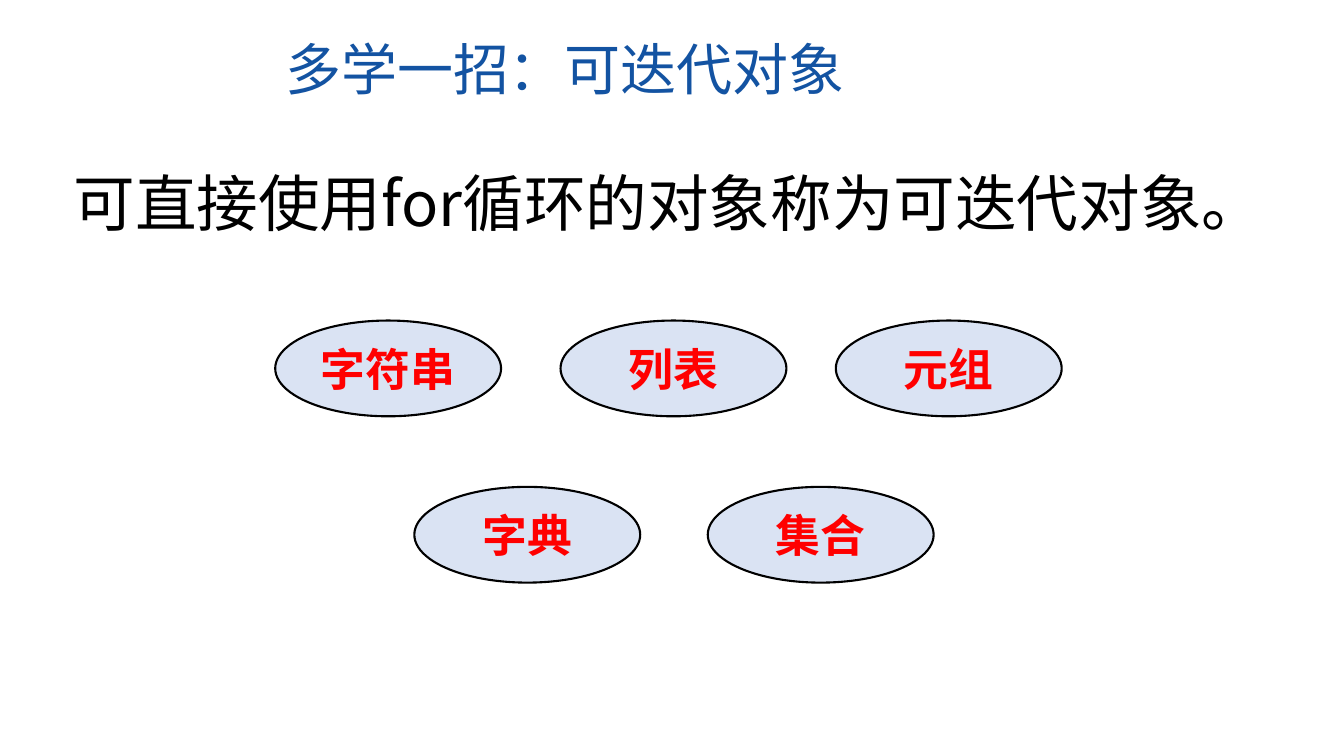
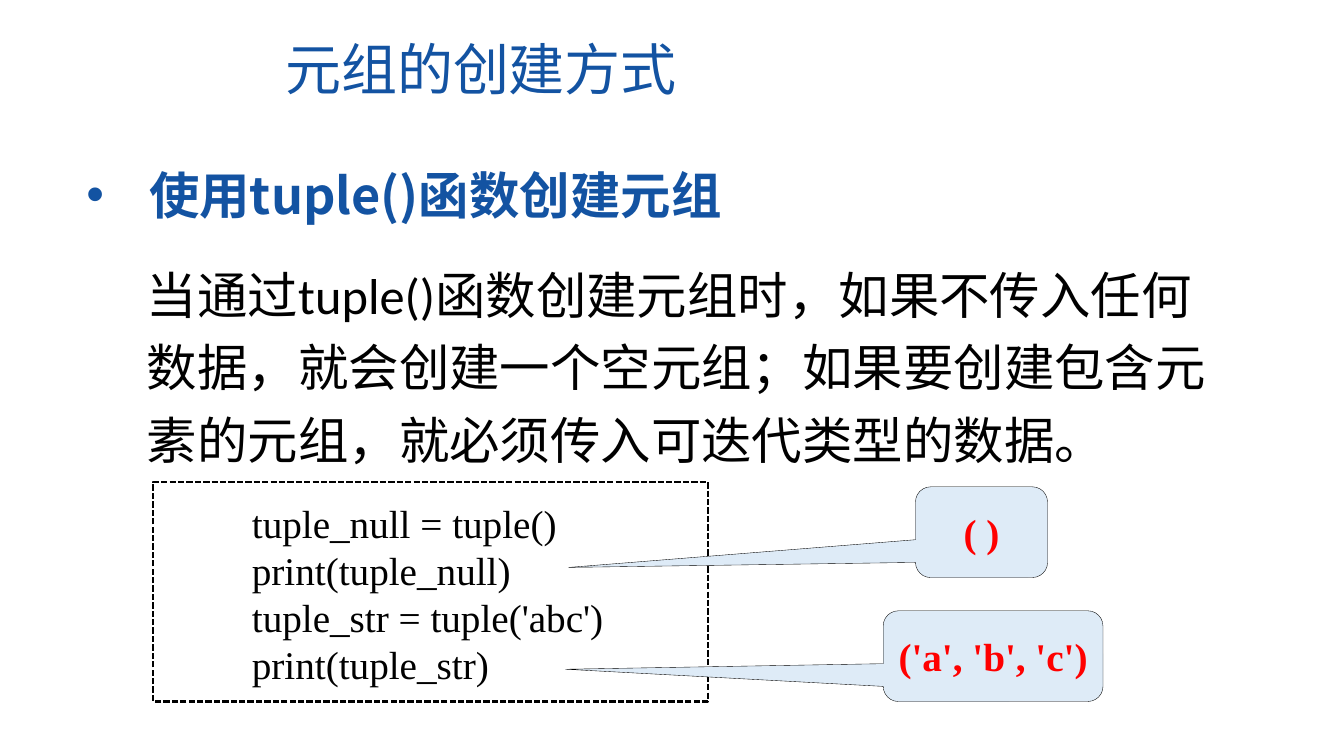
from lxml import etree
from pptx import Presentation
from pptx.dml.color import RGBColor
from pptx.enum.dml import MSO_LINE
from pptx.enum.shapes import MSO_SHAPE
from pptx.enum.text import MSO_ANCHOR, PP_ALIGN
from pptx.oxml.ns import qn
from pptx.util import Pt

PX = 9144  # EMU per px, 100 px to the inch

BLACK = RGBColor(0x00, 0x00, 0x00)
RED = RGBColor(0xFF, 0x00, 0x00)
TITLE_BLUE = RGBColor(0x13, 0x53, 0xA2)
OVAL_BLUE = RGBColor(0xDA, 0xE3, 0xF3)
CALLOUT_BLUE = RGBColor(0xDE, 0xEB, 0xF7)

SANS, BODY, CODE = "Noto Sans CJK SC", "Calibri", "Times New Roman"
OVAL, RECT = MSO_SHAPE.OVAL, MSO_SHAPE.RECTANGLE
CALLOUT = MSO_SHAPE.ROUNDED_RECTANGULAR_CALLOUT
DASH = MSO_LINE.SQUARE_DOT
MIDDLE, CENTER = MSO_ANCHOR.MIDDLE, PP_ALIGN.CENTER

TITLE_FONT = {"name": SANS, "size": Pt(40)}
LEAD_FONT = {"name": SANS, "size": Pt(44)}
BODY_FONT = {"name": BODY, "size": Pt(36)}
BULLET_FONT = {"name": SANS, "size": Pt(36), "bold": True}
OVAL_FONT = {"name": SANS, "size": Pt(32), "bold": True}
CODE_FONT = {"name": CODE, "size": Pt(28)}
RESULT_FONT = {"name": CODE, "size": Pt(28), "bold": True}


class Deck:
    def __init__(self, width, height):
        self.prs = Presentation()
        self.prs.slide_width, self.prs.slide_height = width * PX, height * PX
        self.s = None

    def slide(self, title):
        self.s = self.prs.slides.add_slide(self.prs.slide_layouts[6])
        self.text((273, 29, 588, 77), title, TITLE_FONT, TITLE_BLUE)

    def run(self, p, text, font, color):
        r = p.add_run()
        r.text = text
        for key, value in font.items():
            setattr(r.font, key, value)
        r.font.color.rgb = color
        # Chinese characters take the East Asian typeface
        ea = etree.SubElement(r.font._element, qn("a:ea"))
        ea.set("typeface", SANS)

    def text(self, box, text, font, color=BLACK, spacing=None, wrap=True):
        sp = self.s.shapes.add_textbox(*[v * PX for v in box])
        tf = sp.text_frame
        tf.word_wrap = wrap
        for i, line in enumerate(text.split("\n")):
            p = tf.add_paragraph() if i else tf.paragraphs[0]
            p.line_spacing = spacing
            self.run(p, line, font, color)
        return sp

    def bullet(self, box, text, indent):
        sp = self.text(box, text, BULLET_FONT, TITLE_BLUE)
        pPr = sp.text_frame.paragraphs[0]._p.get_or_add_pPr()
        pPr.set("marL", str(indent * PX))
        pPr.set("indent", str(-indent * PX))
        etree.SubElement(pPr, qn("a:buFont")).set("typeface", "Arial")
        etree.SubElement(pPr, qn("a:buChar")).set("char", "•")

    def shape(self, kind, box, fill=None, line=1.5, text=None, font=None):
        sp = self.s.shapes.add_shape(kind, *[v * PX for v in box])
        sp.shadow.inherit = False
        if fill is None:
            sp.fill.background()
        else:
            sp.fill.solid()
            sp.fill.fore_color.rgb = fill
        sp.line.color.rgb = BLACK
        sp.line.width = Pt(line)
        if text:
            tf = sp.text_frame
            tf.word_wrap = True
            tf.vertical_anchor = MIDDLE
            p = tf.paragraphs[0]
            p.alignment = CENTER
            self.run(p, text, font, RED)
        return sp

    def callout(self, box, tip, text):
        sp = self.shape(CALLOUT, box, CALLOUT_BLUE, 0.25, text, RESULT_FONT)
        x, y, w, h = box
        # The tip is measured from the centre in units of the box size
        sp.adjustments[0] = (tip[0] - x - w / 2) / w
        sp.adjustments[1] = (tip[1] - y - h / 2) / h


def iterables(deck):
    deck.slide("多学一招：可迭代对象")
    deck.text((63, 144, 1229, 99), "可直接使用for循环的对象称为可迭代对象。",
              LEAD_FONT, spacing=1.2)
    # Two rows of types
    rows = {318: [(273, "字符串"), (556, "列表"), (829, "元组")],
            483: [(411, "字典"), (702, "集合")]}
    for y, ovals in rows.items():
        for x, name in ovals:
            deck.shape(OVAL, (x, y, 224, 95), OVAL_BLUE, text=name, font=OVAL_FONT)


def tuples(deck):
    deck.slide("元组的创建方式")
    deck.text((136, 245, 1100, 222),
              "当通过tuple()函数创建元组时，如果不传入任何数据，就会创建一个空元组；"
              "如果要创建包含元素的元组，就必须传入可迭代类型的数据。",
              BODY_FONT, spacing=1.2)
    deck.bullet((76, 158, 800, 71), "使用tuple()函数创建元组", 62)
    # Code in a dashed frame
    deck.shape(RECT, (152, 478, 550, 218)).line.dash_style = DASH
    deck.text((240, 490, 372, 199),
              "tuple_null = tuple()\nprint(tuple_null)\n"
              "tuple_str = tuple('abc')\nprint(tuple_str)",
              CODE_FONT, wrap=False)
    # Printed results
    deck.callout((908, 483, 131, 90), (564, 563), "( )")
    deck.callout((876, 606, 218, 90), (561, 664), "('a', 'b', 'c')")


def main():
    deck = Deck(1333, 750)
    iterables(deck)
    tuples(deck)
    deck.prs.save("out.pptx")


if __name__ == "__main__":
    main()
